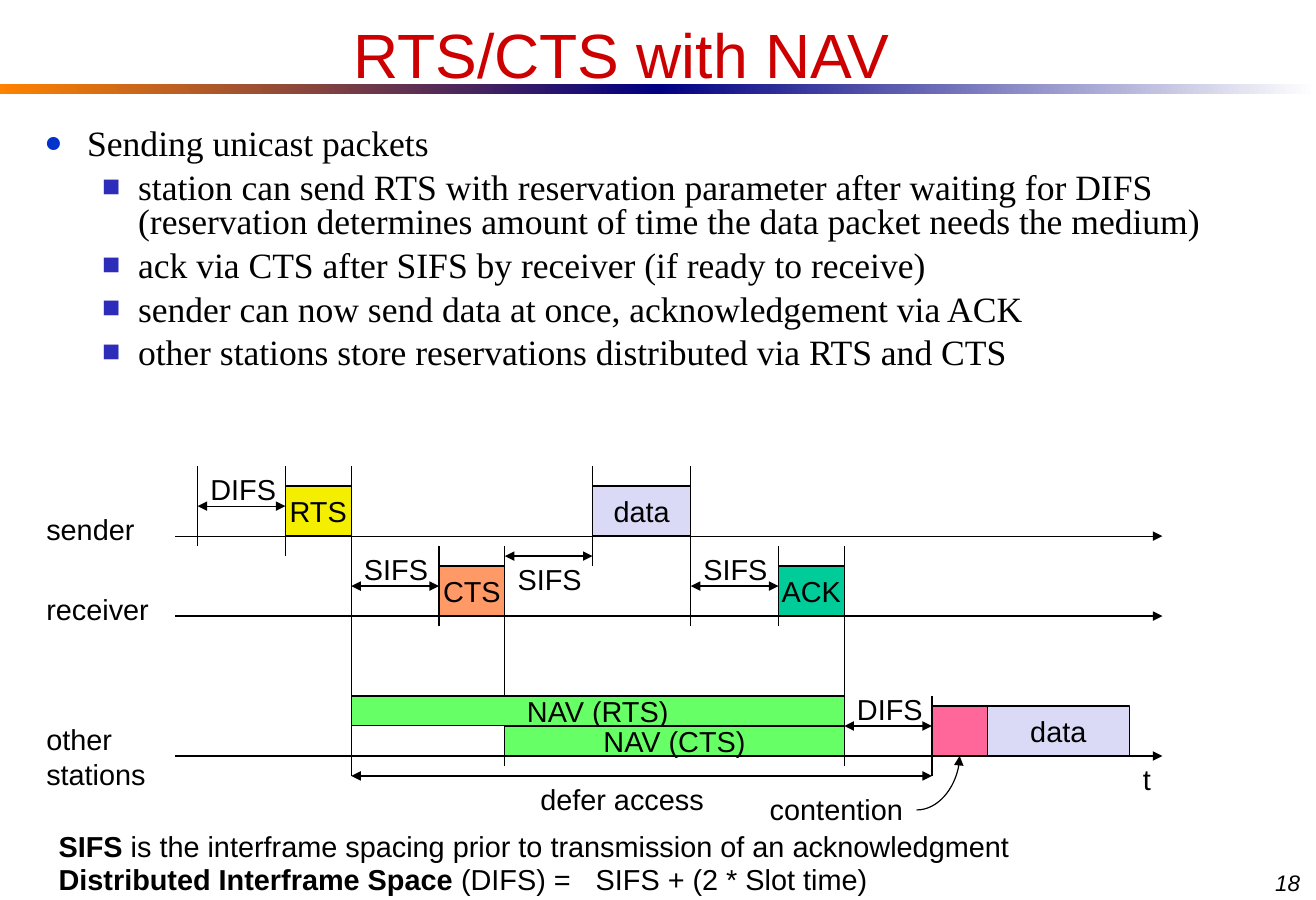
from lxml import etree
from pptx import Presentation
from pptx.dml.color import RGBColor
from pptx.enum import shapes as kinds, text as t
from pptx.oxml import ns
from pptx.util import Cm, Pt

SANS, SERIF, BLACK = "Arial", "Times New Roman", "000000"
TITLE = "RTS/CTS with NAV"
BANDS = [("FF8200", "000082"), ("000082", "FFFFFF")]
TOPIC = "Sending unicast packets"
POINTS = [
    "station can send RTS with reservation parameter after waiting for DIFS "
    "(reservation determines amount of time the data packet needs the medium)",
    "ack via CTS after SIFS by receiver (if ready to receive)",
    "sender can now send data at once, acknowledgement via ACK",
    "other stations store reservations distributed via RTS and CTS",
]
FOOTNOTES = [
    [("SIFS", True), (" is the interframe spacing prior to transmission of an acknowledgment", False)],
    [("Distributed Interframe Space", True), (" (DIFS) =\tSIFS + (2 * Slot time)", False)],
]
PAGE = "18"

# Moments in order, each with the time in cm since the one before
STEPS = [("start", 4.35), ("rts", 1.93), ("rts_end", 1.45), ("cts", 1.93),
         ("cts_end", 1.45), ("data", 1.93), ("data_end", 2.16), ("ack", 1.93),
         ("ack_end", 1.45), ("contention", 1.93), ("next", 1.22), ("next_end", 3.12)]
# Vertical places below are counted in rows of the diagram
TOP, ROW = 10.26, 0.22
AXES = [7, 15, 29]
MARKS = [("start", 0, 8), ("rts", 0, 9), ("rts_end", 0, 31), ("cts", 8, 16),
         ("cts_end", 8, 30), ("data", 0, 10), ("data_end", 0, 16), ("ack", 8, 16),
         ("ack_end", 8, 30), ("contention", 23, 31)]
FRAMES = [("RTS", "rts", "rts_end", 2, 7, "F4EE00"),
          ("CTS", "cts", "cts_end", 10, 15, "FF9966"),
          ("data", "data", "data_end", 2, 7, "DADAF6"),
          ("ACK", "ack", "ack_end", 10, 15, "00CC99"),
          ("NAV (RTS)", "rts_end", "ack_end", 23, 26, "66FF66"),
          ("NAV (CTS)", "cts_end", "ack_end", 26, 29, "66FF66"),
          ("", "contention", "next", 24, 29, "FF6699"),
          ("data", "next", "next_end", 24, 29, "DADAF6")]
# Name, start, end, row of the arrow, row of the name
WAITS = [("DIFS", "start", "rts", 4, 0), ("SIFS", "rts_end", "cts", 12, 8),
         ("SIFS", "cts_end", "data", 9, 9), ("SIFS", "data_end", "ack", 12, 8),
         ("DIFS", "ack_end", "contention", 26, 22)]
WAIT_WIDTH = 2.25
DEFER = ("rts_end", "contention", 31)
# Text, left, row, width
LABELS = [("sender", 0.74, 4, 2.9), ("receiver", 0.74, 12, 3.1),
          ("other\nstations", 0.74, 25, 3.1), ("defer access", 11.61, 31, 4.5),
          ("contention", 16.66, 32, 3.8), ("t", 24.87, 29, 0.9)]

prs = Presentation()
prs.slide_width, prs.slide_height = Cm(28.96), Cm(19.81)
slide = prs.slides.add_slide(prs.slide_layouts[5])
moments, elapsed = {}, 0
for moment, step in STEPS:
    elapsed += step
    moments[moment] = elapsed


def rgb(value):
    return RGBColor.from_string(value)


def row_y(row):
    return TOP + ROW * row


def add_run(paragraph, words, size=18, font=SANS, color=BLACK, bold=False, italic=False):
    run = paragraph.add_run()
    run.text = words
    run.font.size, run.font.name = Pt(size), font
    run.font.bold, run.font.italic = bold, italic
    run.font.color.rgb = rgb(color)


def add_xml(parent, tag, **attributes):
    return etree.SubElement(parent, ns.qn(tag), attributes)


def add_text_frame(left, top, width, height):
    frame = slide.shapes.add_textbox(Cm(left), Cm(top), Cm(width), Cm(height)).text_frame
    frame.word_wrap = True
    return frame


def add_paragraphs(frame, count):
    return [frame.paragraphs[0]] + [frame.add_paragraph() for _ in range(count - 1)]


def add_label(words, left, row, width):
    lines = words.split("\n")
    frame = add_text_frame(left, row_y(row), width, 0.28 + 0.76 * len(lines))
    frame.margin_left, frame.margin_right = Cm(0.28), 0
    for paragraph, line in zip(add_paragraphs(frame, len(lines)), lines):
        add_run(paragraph, line)


def add_line(x1, y1, x2, y2, ends=(), kind=kinds.MSO_CONNECTOR.STRAIGHT):
    """Draw a thin black line; ends lists the arrowheads, headEnd at its start."""
    line = slide.shapes.add_connector(kind, Cm(x1), Cm(y1), Cm(x2), Cm(y2))
    line.line.color.rgb, line.line.width = rgb(BLACK), Pt(0.75)
    properties = line._element.spPr
    for end in ends:
        add_xml(properties.find(ns.qn("a:ln")), "a:" + end, type="triangle")
    add_xml(properties, "a:effectLst")
    return line


def add_span(start, end, row):
    add_line(moments[start], row_y(row), moments[end], row_y(row), ("headEnd", "tailEnd"))


def add_rectangle(left, top, width, height):
    box = slide.shapes.add_shape(kinds.MSO_SHAPE.RECTANGLE, Cm(left), Cm(top), Cm(width), Cm(height))
    box.shadow.inherit = False
    return box


def add_bullet(paragraph, words, level, left, hanging, before, mark, color):
    paragraph.level, paragraph.line_spacing, paragraph.space_before = level, 0.8, Pt(before)
    properties = paragraph._p.get_or_add_pPr()
    properties.set("marL", str(Cm(left)))
    properties.set("indent", str(-Cm(hanging)))
    add_xml(add_xml(properties, "a:buClr"), "a:srgbClr", val=color)
    add_xml(properties, "a:buSzPct", val="85000")
    add_xml(properties, "a:buFont", typeface=SANS)
    add_xml(properties, "a:buChar", char=mark)
    add_run(paragraph, words, 22.2, SERIF)


# Heading
title = slide.shapes.title
title.left, title.top, title.width, title.height = Cm(0.53), Cm(-0.05), Cm(26.29), Cm(2.64)
title.text_frame.vertical_anchor = t.MSO_ANCHOR.MIDDLE
heading = title.text_frame.paragraphs[0]
heading.alignment, heading.line_spacing = t.PP_ALIGN.CENTER, 0.93
add_run(heading, TITLE, 39, color="CC0000")
for index, colors in enumerate(BANDS):
    band = add_rectangle(14.48 * index, 1.85, 14.48, 0.23)
    band.line.fill.background()
    band.fill.gradient()
    band.fill.gradient_angle = 0
    for stop, color, position in zip(band.fill.gradient_stops, colors, (0, 1)):
        stop.color.rgb, stop.position = rgb(color), position

# Bullets
topic, *points = add_paragraphs(add_text_frame(0.73, 2.72, 27.51, 6.17), 1 + len(POINTS))
add_bullet(topic, TOPIC, 0, 0.94, 0.94, 7, "●", "0033CC")
for point, words in zip(points, POINTS):
    add_bullet(point, words, 1, 2.06, 0.79, 6, "■", "2D2DB9")

# Timing diagram
for row in AXES:
    add_line(3.86, row_y(row), 25.58, row_y(row), ["tailEnd"])
for moment, first, last in MARKS:
    add_line(moments[moment], row_y(last), moments[moment], row_y(first))
for words, start, end, first, last, color in FRAMES:
    box = add_rectangle(moments[start], row_y(first), moments[end] - moments[start], ROW * (last - first))
    box.fill.solid()
    box.fill.fore_color.rgb = rgb(color)
    box.line.color.rgb, box.line.width = rgb(BLACK), Pt(0.75)
    if words:
        box.text_frame.word_wrap = False
        box.text_frame.vertical_anchor = t.MSO_ANCHOR.MIDDLE
        box.text_frame.paragraphs[0].alignment = t.PP_ALIGN.CENTER
        add_run(box.text_frame.paragraphs[0], words)
for words, start, end, arrow_row, name_row in WAITS:
    add_span(start, end, arrow_row)
    add_label(words, moments[start], name_row, WAIT_WIDTH)
add_span(*DEFER)
for label in LABELS:
    add_label(*label)
pointer = add_line(20.17, 17.83, (moments["contention"] + moments["next"]) / 2, row_y(29),
                   ["tailEnd"], kinds.MSO_CONNECTOR.CURVE)
pointer._element.spPr.find(ns.qn("a:prstGeom")).set("prst", "curvedConnector2")

# Footer
footer = add_text_frame(1.04, 18.19, 26.14, 1.68)
for paragraph, runs in zip(add_paragraphs(footer, len(FOOTNOTES)), FOOTNOTES):
    paragraph.line_spacing = 0.93
    tabs = add_xml(paragraph._p.get_or_add_pPr(), "a:tabLst")
    add_xml(tabs, "a:tab", pos=str(Cm(11.82)), algn="l")
    for words, bold in runs:
        add_run(paragraph, words, bold=bold)
add_run(add_text_frame(27.81, 19, 1.14, 0.86).paragraphs[0], PAGE, 14, italic=True)

prs.save("out.pptx")
